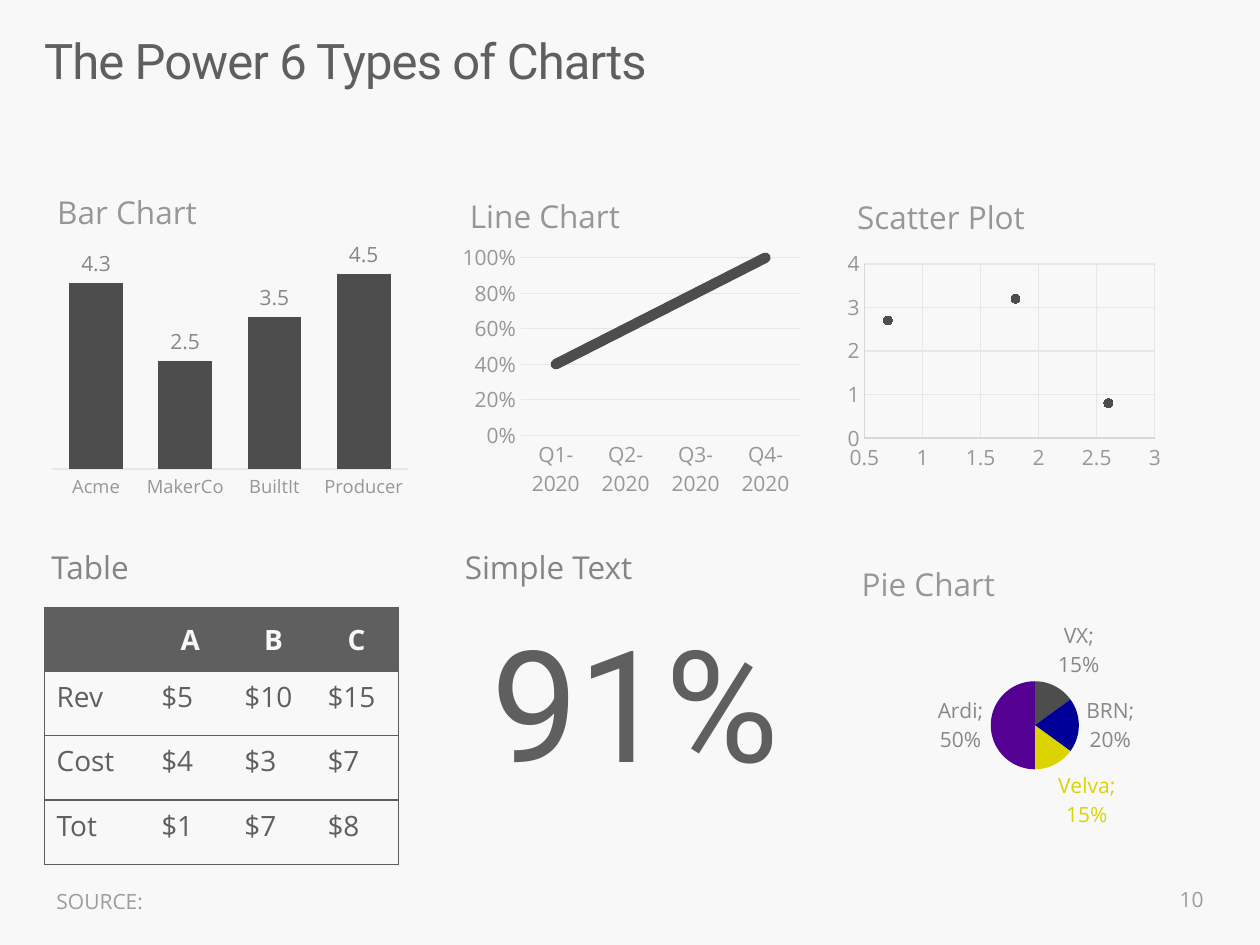
from lxml import etree
from pptx import Presentation
from pptx.chart.data import CategoryChartData, XyChartData
from pptx.dml.color import RGBColor
from pptx.enum.chart import XL_CHART_TYPE, XL_LABEL_POSITION, XL_MARKER_STYLE, XL_TICK_MARK
from pptx.enum.text import MSO_ANCHOR, MSO_AUTO_SIZE, PP_ALIGN
from pptx.oxml.ns import qn
from pptx.util import Inches, Pt

BAR, LINE = XL_CHART_TYPE.COLUMN_CLUSTERED, XL_CHART_TYPE.LINE
PIE, DOTS = XL_CHART_TYPE.PIE, XL_CHART_TYPE.XY_SCATTER
OUT, NONE = XL_LABEL_POSITION.OUTSIDE_END, XL_TICK_MARK.NONE
DOT = XL_MARKER_STYLE.CIRCLE
BLANK = XL_MARKER_STYLE.NONE
LEFT, MID, RIGHT = PP_ALIGN.LEFT, PP_ALIGN.CENTER, PP_ALIGN.RIGHT
TOP, CENTER = MSO_ANCHOR.TOP, MSO_ANCHOR.MIDDLE
FIXED = MSO_AUTO_SIZE.NONE
WIDE, HIGH = Inches(10), Inches(7.5)
HEAD, BODY = "Roboto", "Open Sans"
HEX = {"page": "F8F8F8", "text": "5F5F5F", "label": "858585", "value": "878787",
       "axis": "979797", "foot": "9D9D9D", "grid": "E7E7E7", "rule": "D7D7D7",
       "edge": "5D5D5D", "dark": "4D4D4D", "blue": "000099", "gold": "DBD400",
       "plum": "530093"}


def rgb(name):
    """Return a named colour."""
    return RGBColor.from_string(HEX[name])


def span(x, y, w, h):
    """Turn percentages of the slide into left, top, width and height."""
    return [int(part * side / 100) for part, side in zip((x, y, w, h), (WIDE, HIGH) * 2)]


def style(font, size, color, face=BODY, bold=False):
    """Set the look of a font."""
    font.size, font.name, font.bold = Pt(size), face, bold
    font.color.rgb = rgb(color)


def add_text(slide, area, text, size, color, align=LEFT, anchor=TOP):
    """Add a wrapped one-line text box."""
    frame = slide.shapes.add_textbox(*span(*area)).text_frame
    frame.word_wrap, frame.vertical_anchor = True, anchor
    para = frame.paragraphs[0]
    para.text, para.alignment = text, align
    style(para.font, size, color)


def fill_holder(shape, area, text, size, track, indent=0):
    """Place and fill a template placeholder without insets or bullets."""
    shape.left, shape.top, shape.width, shape.height = span(*area)
    frame = shape.text_frame
    frame.margin_left = frame.margin_right = frame.margin_top = frame.margin_bottom = 0
    frame.vertical_anchor, frame.auto_size, frame.word_wrap = TOP, FIXED, True
    para = frame.paragraphs[0]
    para.text, para.alignment, para.space_before = text, LEFT, Pt(0)
    props = para._p.get_or_add_pPr()
    props.set("marL", str(Inches(indent)))
    props.set("indent", "0")
    etree.SubElement(props, qn("a:buNone"))
    style(para.font, size, "text", HEAD)
    para.runs[0]._r.get_or_add_rPr().set("spc", str(track))
    return para


def set_spot(parent, index, spot, inner=False):
    """Give a chart part a manual place in shares of the chart."""
    for old in parent.findall(qn("c:layout")):
        parent.remove(old)
    layout = etree.Element(qn("c:layout"))
    manual = etree.SubElement(layout, qn("c:manualLayout"))
    pairs = [("layoutTarget", "inner")] if inner else []
    pairs += [("xMode", "edge"), ("yMode", "edge"), *zip("xywh", spot)]
    for tag, value in pairs:
        etree.SubElement(manual, qn("c:" + tag)).set("val", str(value))
    parent.insert(index, layout)


def add_chart(slide, kind, area, data, title, spot, plot):
    """Add a titled chart and return it with its first series."""
    chart = slide.shapes.add_chart(kind, *span(*area), data).chart
    style(chart.font, 10, "text")
    chart.has_legend, chart.has_title = False, True
    chart.plots[0].vary_by_categories = kind == PIE
    head = chart.chart_title
    para = head.text_frame.paragraphs[0]
    para.text = title
    style(para.font, 18, "axis")
    set_spot(head._element, 1, spot)
    set_spot(chart._chartSpace.chart.plotArea, 0, plot, True)
    return chart, chart.plots[0].series[0]


def cat_data(names, values, form="General"):
    """Build chart data of one series."""
    data = CategoryChartData(number_format=form)
    data.categories = names
    data.add_series("Series 1", values)
    return data


def set_axis(axis, line=None, size=12, grid=False, scale=None):
    """Format an axis, its grid and its scale."""
    axis.major_tick_mark = axis.minor_tick_mark = NONE
    style(axis.tick_labels.font, size, "axis")
    axis.has_major_gridlines = grid
    pens = [(axis.format.line, line)]
    if grid:
        pens.append((axis.major_gridlines.format.line, "grid"))
    for pen, color in pens:
        if color:
            pen.color.rgb, pen.width = rgb(color), Pt(0.75)
        else:
            pen.fill.background()
    if scale:
        axis.minimum_scale, axis.maximum_scale, axis.major_unit = scale


def paint(part, color):
    """Fill a chart part with one colour."""
    part.format.fill.solid()
    part.format.fill.fore_color.rgb = rgb(color)


def add_labels(series):
    """Show values outside the marks of a series."""
    labels = series.data_labels
    labels.show_value, labels.position = True, OUT
    style(labels.font, 12, "value")
    return labels


def add_bars(slide):
    """Add the bar chart."""
    data = cat_data(["Acme", "MakerCo", "BuiltIt", "Producer"], [4.3, 2.5, 3.5, 4.5])
    chart, bars = add_chart(slide, BAR, (3.5, 17.73, 29.5, 35.87), data,
                            "Bar Chart", (0.02, 0.04), (0.02, 0.25, 0.96, 0.64))
    set_axis(chart.category_axis, "grid", 10.5)
    set_axis(chart.value_axis, scale=(0, 5, 1))
    chart.value_axis.visible = False
    chart.plots[0].gap_width, chart.plots[0].overlap = 66, -27
    paint(bars, "dark")
    add_labels(bars)


def add_line(slide):
    """Add the line chart."""
    names = [f"Q{n}-2020" for n in range(1, 5)]
    data = cat_data(names, [0.4, 0.6, 0.8, 1], "0%")
    chart, trend = add_chart(slide, LINE, (36, 17.73, 28.1, 35.87), data,
                             "Line Chart", (0.03, 0.05), (0.19, 0.24, 0.79, 0.55))
    set_axis(chart.category_axis, "grid")
    set_axis(chart.value_axis, grid=True, scale=(0, 1.05, 0.2))
    trend.smooth, trend.marker.style = False, BLANK
    pen = trend.format.line
    pen.color.rgb, pen.width = rgb("dark"), Pt(6)
    trend._element.find(".//" + qn("a:ln")).set("cap", "rnd")


def add_dots(slide):
    """Add the scatter plot."""
    data = XyChartData()
    points = data.add_series("Series 1")
    for x, y in [(0.7, 2.7), (1.8, 3.2), (2.6, 0.8)]:
        points.add_data_point(x, y)
    chart, dots = add_chart(slide, DOTS, (66.8, 17.73, 25.9, 32.93), data,
                            "Scatter Plot", (0.03, 0.06), (0.07, 0.31, 0.89, 0.56))
    set_axis(chart.category_axis, "rule", grid=True, scale=(0.5, 3, 0.5))
    set_axis(chart.value_axis, "rule", grid=True, scale=(0, 4, 1))
    dots.format.line.fill.background()
    dots.marker.style, dots.marker.size = DOT, 5
    paint(dots.marker, "dark")
    dots.marker.format.line.color.rgb = rgb("dark")


def add_pie(slide):
    """Add the pie chart with names and shares."""
    data = cat_data(["VX", "BRN", "Velva", "Ardi"], [0.15, 0.2, 0.15, 0.5], "0%")
    pie = add_chart(slide, PIE, (67.1, 56.67, 28.1, 35.87), data,
                    "Pie Chart", (0.03, 0.05), (0.41, 0.43, 0.25, 0.26))[1]
    for spot, color in enumerate(["dark", "blue", "gold", "plum"]):
        paint(pie.points[spot], color)
    labels = add_labels(pie)
    labels.number_format, labels.number_format_is_linked = "0%", False
    gold = pie.points[2].data_label
    style(gold.font, 12, "gold")
    gold.position = OUT
    for flag in pie._element.iter(qn("c:showCatName")):
        flag.set("val", "1")
    for flag in list(pie._element.iter(qn("c:showBubbleSize"))):
        mark = etree.Element(qn("c:separator"))
        mark.text = "; "
        flag.addnext(mark)


def set_edges(cell, shown):
    """Draw the named sides of a cell and clear the others."""
    props = cell._tc.get_or_add_tcPr()
    for spot, side in enumerate("LRTB"):
        pen = etree.Element(qn("a:ln" + side), w=str(Pt(0.75)))
        if side in shown:
            fill = etree.SubElement(pen, qn("a:solidFill"))
            etree.SubElement(fill, qn("a:srgbClr")).set("val", HEX["edge"])
        else:
            etree.SubElement(pen, qn("a:noFill"))
        props.insert(spot, pen)


def add_grid(slide):
    """Add the table."""
    rows = [["", "A", "B", "C"], ["Rev", "$5", "$10", "$15"],
            ["Cost", "$4", "$3", "$7"], ["Tot", "$1", "$7", "$8"]]
    table = slide.shapes.add_table(4, 4, *span(3.5, 64.27, 28.1, 27.2)).table
    for col, width in zip(table.columns, (0.83, 0.66, 0.66, 0.66)):
        col.width = Inches(width)
    for r, row in enumerate(rows):
        for c, text in enumerate(row):
            cell = table.cell(r, c)
            set_edges(cell, "TB" + {0: "L", 3: "R"}.get(c, ""))
            cell.fill.background()
            if r == 0:
                cell.fill.solid()
                cell.fill.fore_color.rgb = rgb("text")
            cell.vertical_anchor = TOP if r else CENTER
            para = cell.text_frame.paragraphs[0]
            para.text, para.alignment = text, LEFT if r else MID
            style(para.font, 16, "text" if r else "page", bold=r == 0)


def main():
    """Build the slide of six chart types."""
    deck = Presentation()
    deck.slide_width, deck.slide_height = WIDE, HIGH
    slide = deck.slides.add_slide(deck.slide_layouts[1])
    slide.background.fill.solid()
    slide.background.fill.fore_color.rgb = rgb("page")
    title, body = slide.placeholders
    para = fill_holder(title, (3.5, 4.13, 92.9, 11.87), "The Power 6 Types of Charts", 28, -50)
    para.line_spacing = 0.86
    fill_holder(body, (36, 64.27, 30, 28.93), "91%", 88.8, -10, 0.3)
    for build in (add_bars, add_line, add_dots, add_grid, add_pie):
        build(slide)
    for x, text in [(3.1, "Table"), (35.9, "Simple Text")]:
        add_text(slide, (x, 57.33, 30.1, 5.33), text, 18, "label")
    add_text(slide, (3.5, 92.67, 69.3, 5.33), "SOURCE:", 12, "foot", anchor=CENTER)
    add_text(slide, (74, 92.53, 22.5, 5.33), "10", 12, "foot", RIGHT, CENTER)
    deck.save("out.pptx")


if __name__ == "__main__":
    main()
